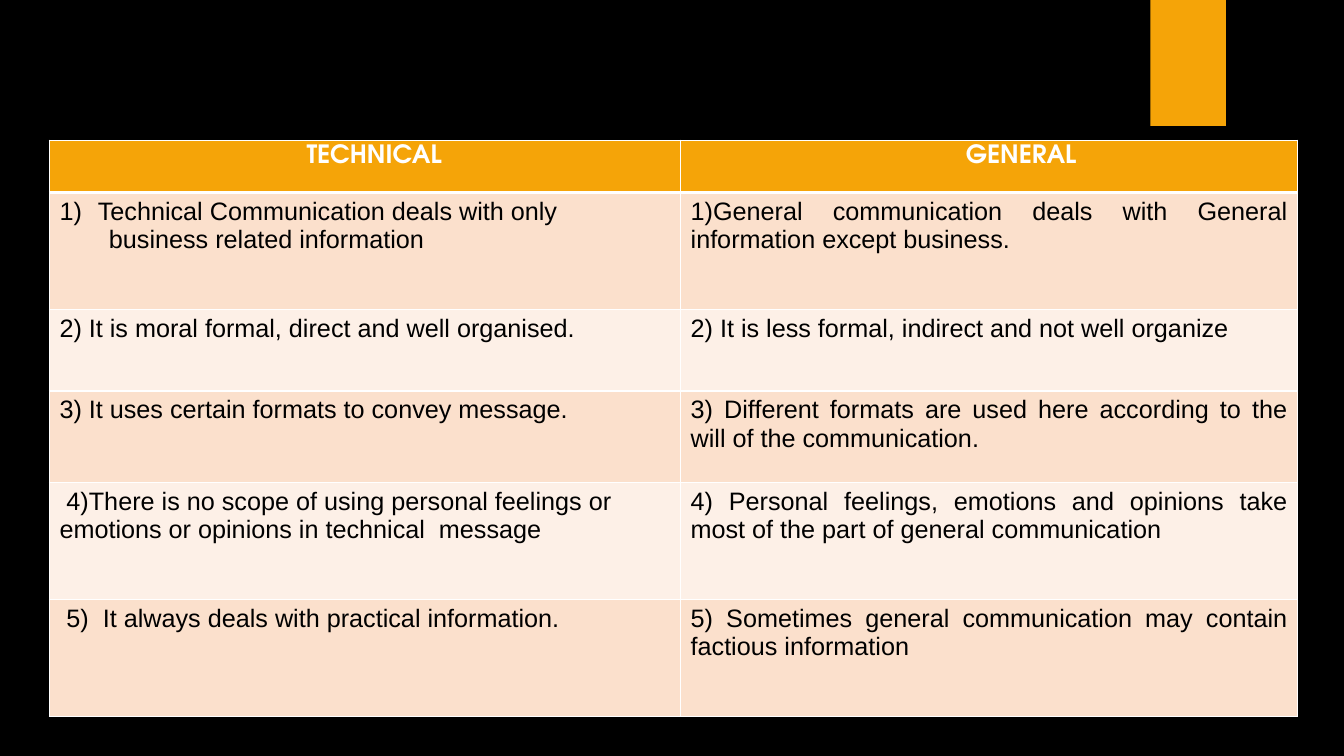
from lxml import etree
from pptx import Presentation
from pptx import util as u
from pptx.dml.color import RGBColor
from pptx.enum import shapes, text
from pptx.oxml import ns

BLACK = RGBColor(0x00, 0x00, 0x00)
WHITE = RGBColor(0xFF, 0xFF, 0xFF)
ORANGE = RGBColor(0xF5, 0xA4, 0x08)
PEACH = RGBColor(0xFB, 0xE0, 0xCC)
CREAM = RGBColor(0xFD, 0xF0, 0xE7)

HEAD = {"name": "TeX Gyre Adventor", "size": u.Pt(18), "bold": True}
BODY = {"name": "Arial", "size": u.Pt(18), "bold": False}

COLS = [6.26, 6.12]
ROWS = [0.52, 1.16, 0.81, 0.91, 1.16, 1.16]
HEADINGS = [("TECHNICAL", 2.45), ("GENERAL", 2.73)]
POINTS = [
    ("Technical Communication deals with only\nbusiness related information",
     "1)General communication deals with General information except business."),
    ("2) It is moral formal, direct and well organised.",
     "2) It is less formal, indirect and not well organize"),
    ("3) It uses certain formats to convey message.",
     "3) Different formats are used here according to the will of the communication."),
    (" 4)There is no scope of using personal feelings or emotions or opinions in technical  message",
     "4) Personal feelings, emotions and opinions take most of the part of general communication"),
    (" 5)  It always deals with practical information.",
     "5) Sometimes general communication may contain factious information"),
]


def set_indent(p, left, first=0):
    pPr = p._p.get_or_add_pPr()
    pPr.set("marL", str(u.Inches(left)))
    pPr.set("indent", str(u.Inches(first)))
    return pPr


def set_number(p):
    pPr = set_indent(p, 0.38, -0.38)
    etree.SubElement(pPr, ns.qn("a:buFont"), typeface="+mj-lt")
    etree.SubElement(pPr, ns.qn("a:buAutoNum"), type="arabicParenR")


def set_borders(cell, widths):
    tcPr = cell._tc.get_or_add_tcPr()
    for side, width in widths.items():
        ln = etree.SubElement(tcPr, ns.qn(f"a:ln{side}"), w=str(u.Pt(width)))
        fill = etree.SubElement(ln, ns.qn("a:solidFill"))
        etree.SubElement(fill, ns.qn("a:srgbClr"), val=str(WHITE))


def fill_cell(cell, content, fill, color, font, align, top=1, bottom=1):
    set_borders(cell, {"L": 1, "R": 1, "T": top, "B": bottom})
    cell.fill.solid()
    cell.fill.fore_color.rgb = fill
    tf = cell.text_frame
    tf.text = content
    for p in tf.paragraphs:
        p.alignment = align
        for r in p.runs:
            r.font.color.rgb = color
            for key, value in font.items():
                setattr(r.font, key, value)
    return tf.paragraphs


def add_tab(slide):
    sp = slide.shapes.add_shape(shapes.MSO_SHAPE.RECTANGLE, u.Inches(11.41), 0,
                                u.Inches(0.75), u.Inches(1.25))
    sp.shadow.inherit = False
    sp.fill.solid()
    sp.fill.fore_color.rgb = ORANGE
    sp.line.fill.background()


def add_comparison(slide):
    frame = slide.shapes.add_table(len(ROWS), len(COLS), u.Inches(0.49), u.Inches(1.39),
                                   u.Inches(sum(COLS)), u.Inches(sum(ROWS)))
    table = frame.table
    for column, width in zip(table.columns, COLS):
        column.width = u.Inches(width)
    for row, height in zip(table.rows, ROWS):
        row.height = u.Inches(height)

    left, justify = text.PP_ALIGN.LEFT, text.PP_ALIGN.JUSTIFY
    for c, (heading, indent) in enumerate(HEADINGS):
        p = fill_cell(table.cell(0, c), heading, ORANGE, WHITE, HEAD, left, bottom=3)[0]
        set_indent(p, indent)
    for i, pair in enumerate(POINTS, 1):
        fill = PEACH if i % 2 else CREAM
        for c, (point, align) in enumerate(zip(pair, (left, justify))):
            fill_cell(table.cell(i, c), point, fill, BLACK, BODY, align,
                      top=3 if i == 1 else 1)
    first, second = table.cell(1, 0).text_frame.paragraphs
    set_number(first)
    set_indent(second, 0.49)


def main():
    prs = Presentation()
    prs.slide_width, prs.slide_height = u.Inches(13.33), u.Inches(7.5)
    slide = prs.slides.add_slide(prs.slide_layouts[6])
    slide.background.fill.solid()
    slide.background.fill.fore_color.rgb = BLACK
    add_tab(slide)
    add_comparison(slide)
    prs.save("out.pptx")


if __name__ == "__main__":
    main()
